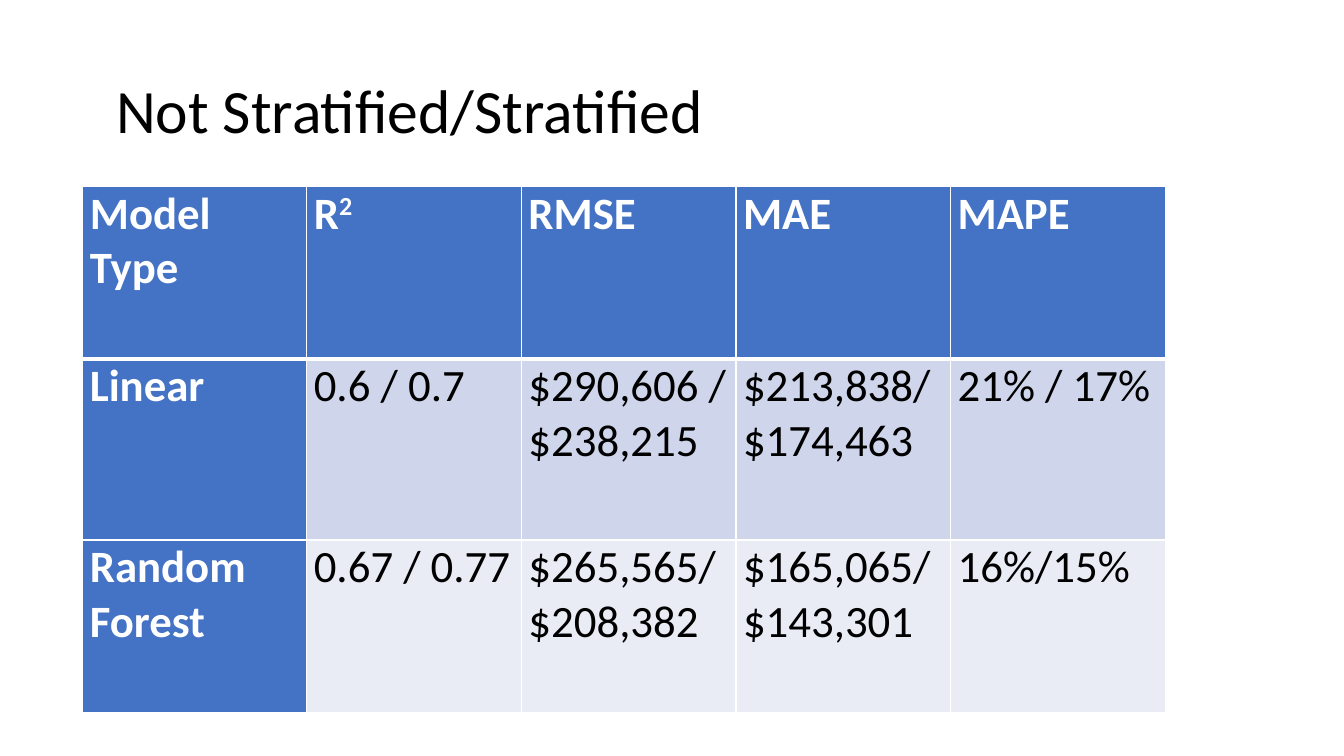
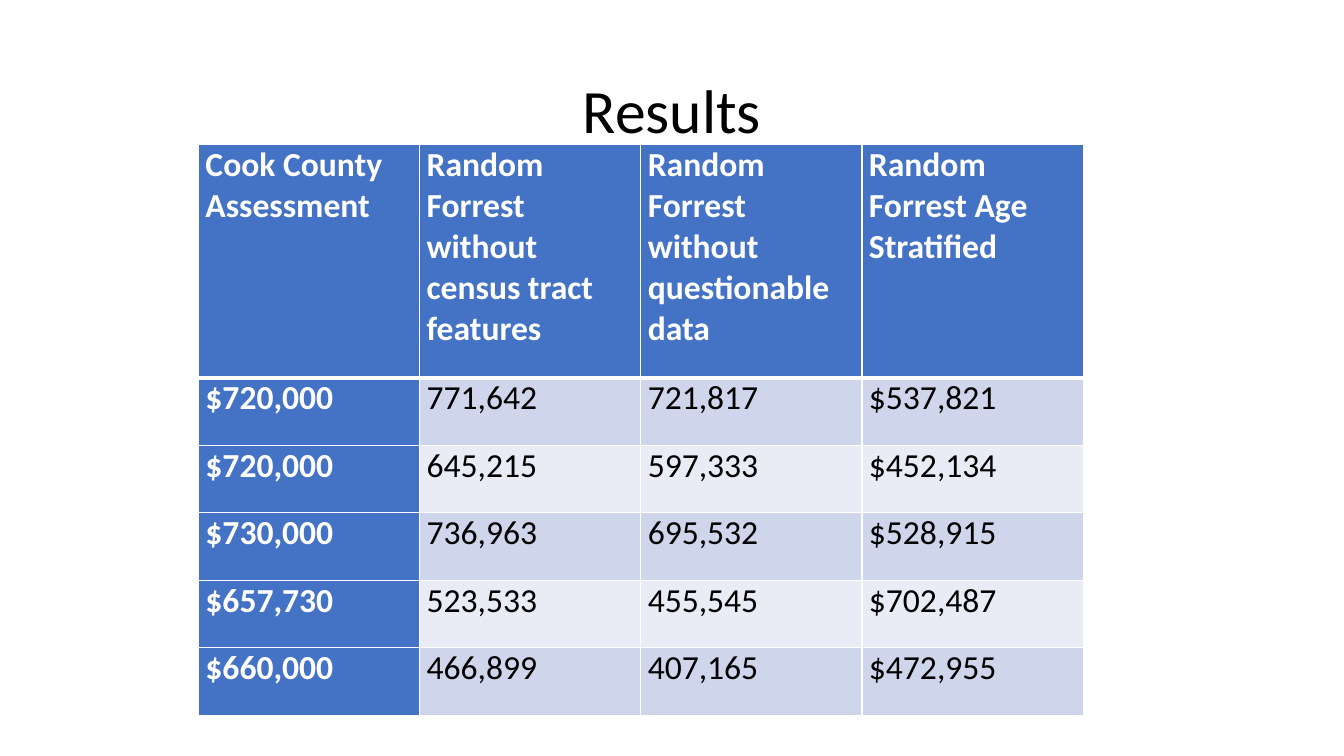
import pptx
import pptx.dml.color
import pptx.enum.text
import pptx.oxml.ns
import pptx.util
from lxml import etree

Pt = pptx.util.Pt
PP_ALIGN = pptx.enum.text.PP_ALIGN

COLORS = {
    "heading": "4472C4",
    "odd row": "CFD5EA",
    "even row": "E9EBF5",
    "light": "FFFFFF",
    "dark": "000000",
}


def rgb(name):
    return pptx.dml.color.RGBColor.from_string(COLORS[name])


class Deck:
    FONT = "Calibri"
    TITLE_SIZE = 44
    CELL_INSET = 5
    RULE = 1
    HEADER_RULE = 3

    def __init__(self):
        self.presentation = pptx.Presentation()
        self.presentation.slide_width = Pt(960)
        self.presentation.slide_height = Pt(540)
        self.slide = None

    def add_slide(self):
        blank = self.presentation.slide_layouts[6]
        self.slide = self.presentation.slides.add_slide(blank)

    def style(self, paragraph, size, color, bold=False):
        paragraph.font.name = self.FONT
        paragraph.font.size = Pt(size)
        paragraph.font.bold = bold
        paragraph.font.color.rgb = rgb(color)

    def title(self, text, align=PP_ALIGN.LEFT):
        box = self.slide.shapes.add_textbox(Pt(66), Pt(28.75), Pt(828), Pt(104.4))
        frame = box.text_frame
        frame.word_wrap = True
        frame.vertical_anchor = pptx.enum.text.MSO_ANCHOR.MIDDLE
        paragraph = frame.paragraphs[0]
        paragraph.text = text
        paragraph.alignment = align
        paragraph.line_spacing = 0.9
        self.style(paragraph, self.TITLE_SIZE, "dark")

    def table(self, left, top, widths, heights, rows, size, spacing=0):
        """Draw rows whose first row and first column are headings."""
        grid = self.slide.shapes.add_table(
            len(rows), len(widths), Pt(left), Pt(top), Pt(sum(widths)), Pt(sum(heights))
        ).table
        grid.first_col = True
        for column, width in zip(grid.columns, widths):
            column.width = Pt(width)
        for r, (height, texts) in enumerate(zip(heights, rows)):
            grid.rows[r].height = Pt(height)
            for c, text in enumerate(texts):
                self.cell(grid.cell(r, c), r, c, text, size, spacing)

    def cell(self, cell, row, column, text, size, spacing):
        heading = row == 0 or column == 0
        cell.margin_left = cell.margin_right = Pt(self.CELL_INSET)
        cell.margin_top = cell.margin_bottom = 0
        self.borders(cell, row)
        cell.fill.solid()
        band = "odd row" if row % 2 else "even row"
        cell.fill.fore_color.rgb = rgb("heading" if heading else band)

        paragraph = cell.text_frame.paragraphs[0]
        base, _, raised = text.partition("^")
        paragraph.add_run().text = base
        if raised:
            superscript = paragraph.add_run()
            superscript.text = raised
            superscript._r.get_or_add_rPr().set("baseline", "30000")
        paragraph.space_before = paragraph.space_after = Pt(spacing)
        self.style(paragraph, size, "light" if heading else "dark", heading)

    def borders(self, cell, row):
        qn = pptx.oxml.ns.qn
        properties = cell._tc.get_or_add_tcPr()
        widths = {
            "L": self.RULE,
            "R": self.RULE,
            "T": self.HEADER_RULE if row == 1 else self.RULE,
            "B": self.HEADER_RULE if row == 0 else self.RULE,
        }
        for side, width in widths.items():
            line = etree.SubElement(properties, qn(f"a:ln{side}"), w=str(int(Pt(width))))
            fill = etree.SubElement(line, qn("a:solidFill"))
            etree.SubElement(fill, qn("a:srgbClr"), val=COLORS["light"])


def main():
    deck = Deck()

    deck.add_slide()
    deck.title(" Not Stratified/Stratified")
    model_scores = [
        ["Model Type", "R^2", "RMSE", "MAE", "MAPE"],
        ["Linear", "0.6 / 0.7", "$290,606 /$238,215", "$213,838/ $174,463", "21% / 17%"],
        ["Random Forest", "0.67 / 0.77", "$265,565/ $208,382", "$165,065/ $143,301", "16%/15%"],
    ]
    deck.table(59.2, 133.2, [160] + [153.3] * 4, [123, 129.5, 123],
               model_scores, size=32, spacing=12)

    deck.add_slide()
    deck.title("Results", PP_ALIGN.CENTER)
    assessments = [
        ["Cook County Assessment", "Random Forrest without census tract features",
         "Random Forrest without questionable data", "Random Forrest Age Stratified"],
        ["$720,000", "771,642", "721,817", "$537,821"],
        ["$720,000", "645,215", "597,333", "$452,134"],
        ["$730,000", "736,963", "695,532", "$528,915"],
        ["$657,730", "523,533", "455,545", "$702,487"],
        ["$660,000", "466,899", "407,165", "$472,955"],
    ]
    deck.table(141.8, 103.5, [158] * 4, [166.5] + [48.2] * 5, assessments, size=24)

    deck.presentation.save("out.pptx")


if __name__ == "__main__":
    main()
